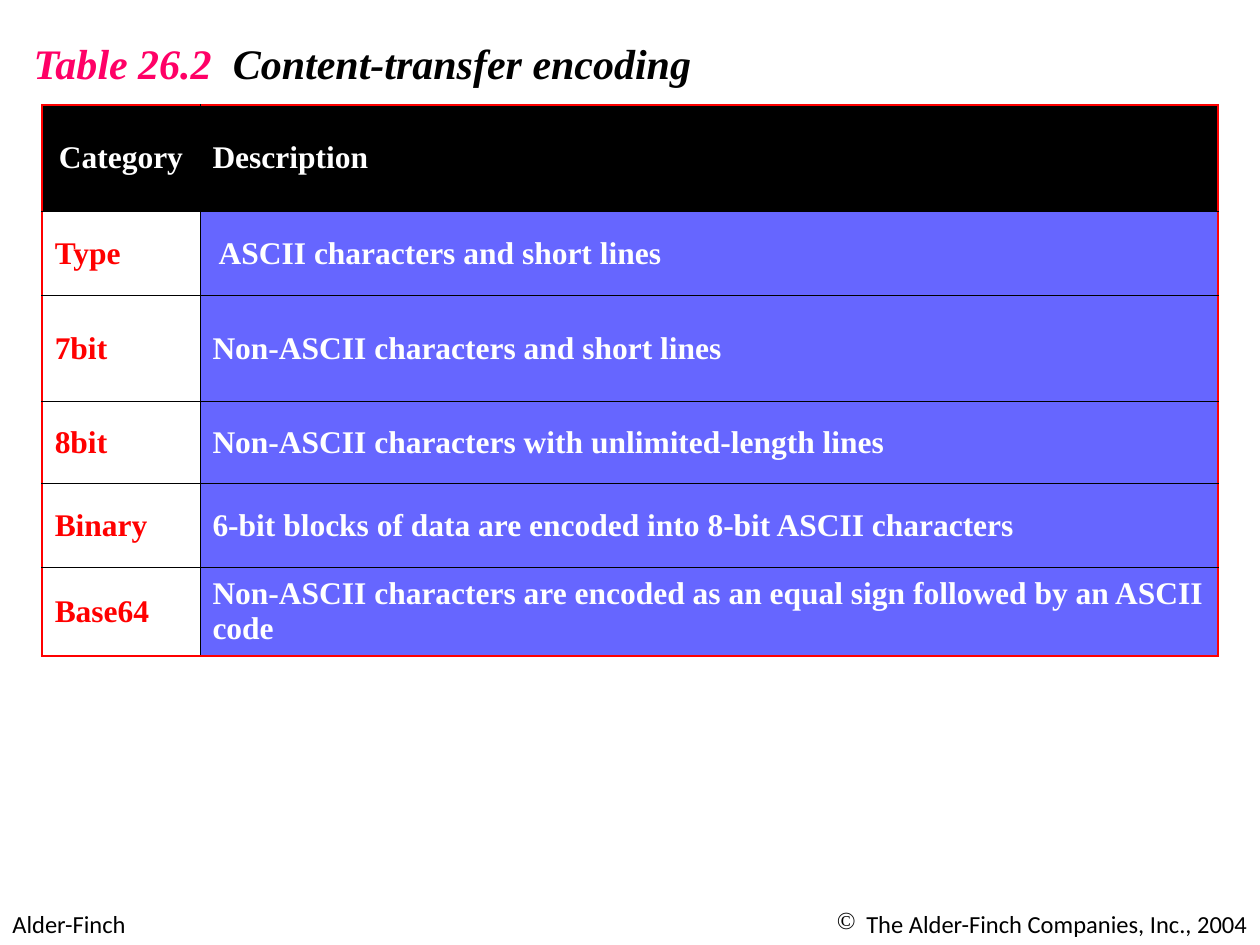
"""Build a slide with a table of content-transfer encodings."""
from dataclasses import dataclass

import lxml.etree
import pptx
import pptx.dml.color
import pptx.enum.text
import pptx.oxml.ns
import pptx.util

Cm = pptx.util.Cm
Pt = pptx.util.Pt
Align = pptx.enum.text.PP_ALIGN
Anchor = pptx.enum.text.MSO_ANCHOR
qn = pptx.oxml.ns.qn


@dataclass(frozen=True)
class Theme:
    black: str = "000000"
    white: str = "FFFFFF"
    red: str = "FF0000"
    pink: str = "FF0066"
    violet: str = "6666FF"
    serif: str = "Times New Roman"
    sans: str = "Calibri"
    title_size: int = 24
    table_size: int = 18
    footer_size: int = 14
    frame_width: float = 1.47
    grid_width: float = 0.45


THEME = Theme()
PUBLISHER = "Alder-Finch"
ROWS = [
    ("Category", "Description"),
    ("Type", " ASCII characters and short lines"),
    ("7bit", "Non-ASCII characters and short lines"),
    ("8bit", "Non-ASCII characters with unlimited-length lines"),
    ("Binary", "6-bit blocks of data are encoded into 8-bit ASCII characters"),
    ("Base64", "Non-ASCII characters are encoded as an equal sign followed by an ASCII code"),
]
COLUMN_WIDTHS = (3.18, 20.52)
ROW_HEIGHTS = (2.14, 1.7, 2.14, 1.64, 1.7, 1.78)


def rgb(value):
    return pptx.dml.color.RGBColor.from_string(value)


def style_font(font, name, size, color=None, bold=False, italic=False):
    font.name = name
    font.size = Pt(size)
    font.bold = bold
    font.italic = italic
    if color:
        font.color.rgb = rgb(color)


def add_box(page, left, top, width, height, wrap=True):
    box = page.shapes.add_textbox(Cm(left), Cm(top), Cm(width), Cm(height))
    box.text_frame.word_wrap = wrap
    return box.text_frame.paragraphs[0]


def add_title(page, spans):
    para = add_box(page, 0.43, 0.64, 13.84, 1.27, wrap=False)
    style_font(para.font, THEME.serif, THEME.title_size, bold=True, italic=True)
    for text, color in spans:
        span = para.add_run()
        span.text = text
        span.font.color.rgb = rgb(color)


def add_footer(page, text, left, width, align=Align.LEFT):
    para = add_box(page, left, 18.2, width, 0.86)
    para.text = text
    para.alignment = align
    style_font(para.font, THEME.sans, THEME.footer_size, THEME.black)
    return para


def add_bullet(para, char, indent):
    properties = para._p.get_or_add_pPr()
    properties.set("marL", str(Cm(indent)))
    properties.set("indent", str(-Cm(indent)))
    bullet = lxml.etree.Element(qn("a:buChar"), char=char)
    properties.insert_element_before(bullet, "a:tabLst", "a:defRPr", "a:extLst")


def add_border(cell, side, on_frame):
    color = THEME.red if on_frame else THEME.black
    width = THEME.frame_width if on_frame else THEME.grid_width
    line = lxml.etree.SubElement(
        cell._tc.get_or_add_tcPr(), qn(f"a:ln{side}"), w=str(Pt(width)))
    fill = lxml.etree.SubElement(line, qn("a:solidFill"))
    lxml.etree.SubElement(fill, qn("a:srgbClr"), val=color)


def fill_cell(cell, text, fill, color, align):
    cell.fill.solid()
    cell.fill.fore_color.rgb = rgb(fill)
    cell.vertical_anchor = Anchor.MIDDLE
    para = cell.text_frame.paragraphs[0]
    para.text = text
    para.alignment = align
    style_font(para.font, THEME.serif, THEME.table_size, color, bold=True)


def add_encoding_table(page):
    last_row, last_column = len(ROWS) - 1, len(COLUMN_WIDTHS) - 1
    table = page.shapes.add_table(
        len(ROWS), len(COLUMN_WIDTHS), Cm(0.85), Cm(2.12),
        Cm(sum(COLUMN_WIDTHS)), Cm(sum(ROW_HEIGHTS))).table
    table.horz_banding = False
    for column, width in zip(table.columns, COLUMN_WIDTHS):
        column.width = Cm(width)
    for row, height in zip(table.rows, ROW_HEIGHTS):
        row.height = Cm(height)
    for i, texts in enumerate(ROWS):
        for j, text in enumerate(texts):
            cell = table.cell(i, j)
            edges = {"L": j == 0, "R": j == last_column,
                     "T": i == 0, "B": i == last_row}
            for side, on_frame in edges.items():
                add_border(cell, side, on_frame)
            if i == 0:
                fill, color = THEME.black, THEME.white
            elif j == 0:
                fill, color = THEME.white, THEME.red
            else:
                fill, color = THEME.violet, THEME.white
            align = Align.CENTER if i == j == 0 else Align.LEFT
            fill_cell(cell, text, fill, color, align)


def main():
    deck = pptx.Presentation()
    deck.slide_width, deck.slide_height = Cm(25.4), Cm(19.05)
    page = deck.slides.add_slide(deck.slide_layouts[6])
    add_footer(page, PUBLISHER, 0, 6.15)
    notice = add_footer(
        page, f"The {PUBLISHER} Companies, Inc., 2004", 12.7, 12.7, Align.RIGHT)
    add_bullet(notice, "©", 0.6)
    add_title(page, [("Table 26.2  ", THEME.pink),
                     ("Content-transfer encoding", THEME.black)])
    add_encoding_table(page)
    deck.save("out.pptx")


if __name__ == "__main__":
    main()
